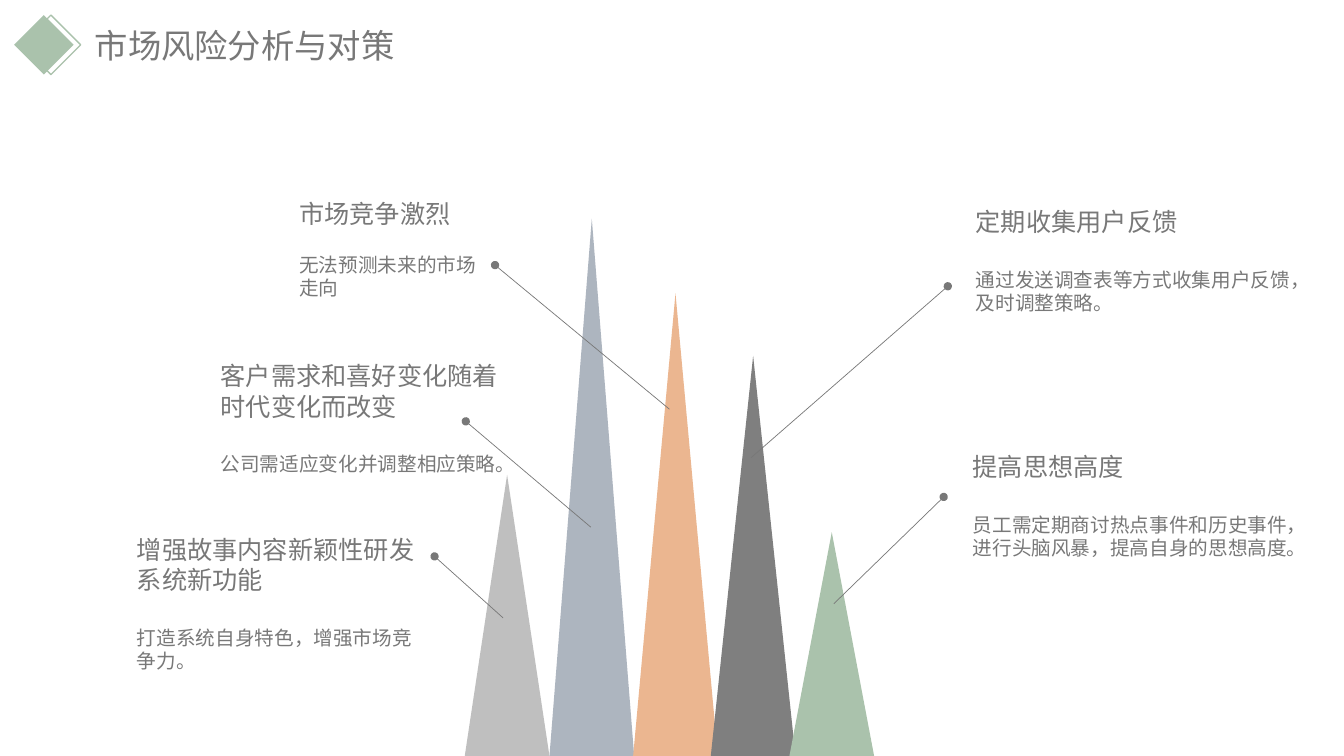
from pptx import Presentation
from pptx.dml.color import RGBColor
from pptx.enum.shapes import MSO_CONNECTOR as Link, MSO_SHAPE as Shape
from pptx.enum.text import MSO_ANCHOR as Anchor, PP_ALIGN as Align
from pptx.oxml.ns import qn
from pptx.util import Inches, Pt
from lxml.etree import SubElement

FONT = "Noto Sans CJK SC"
GREY = "787878"
GREEN = "AAC2AC"
FLOOR = 7.5
WIDTH = 0.84

# left, tip height, colour
PEAKS = [
    (4.61, 4.71, "BFBFBF"),
    (5.45, 2.17, "ADB5BF"),
    (6.28, 2.91, "EBB690"),
    (7.05, 3.53, "7F7F7F"),
    (7.83, 5.28, GREEN),
]

# start on a peak, end at the dot
LEADS = [
    (8.27, 5.99, 9.36, 4.93),
    (7.45, 4.54, 9.4, 2.84),
    (6.64, 4.06, 4.91, 2.63),
    (5.86, 5.23, 4.62, 4.18),
    (4.99, 6.13, 4.31, 5.52),
]

# left, top, width, height, gap before the body, heading, body
NOTES = [
    (2.87, 1.92, 2.07, 1.1, 17, "市场竞争激烈", "无法预测未来的市场走向"),
    (2.09, 3.53, 3.15, 1.25, 22, "客户需求和喜好变化随着时代变化而改变",
     "公司需适应变化并调整相应策略。"),
    (1.26, 5.25, 3.02, 1.68, 22, "增强故事内容新颖性研发系统新功能",
     "打造系统自身特色，增强市场竞争力。"),
    (9.58, 2.0, 3.6, 1.18, 22, "定期收集用户反馈",
     "通过发送调查表等方式收集用户反馈，及时调整策略。"),
    (9.55, 4.43, 3.34, 1.18, 22, "提高思想高度",
     "员工需定期商讨热点事件和历史事件，进行头脑风暴，提高自身的思想高度。"),
]


def color(code):
    return RGBColor.from_string(code)


def write(para, text, size=14, tint=GREY, gap=0):
    para.alignment = Align.LEFT
    para.line_spacing = Pt(round(size * 1.2, 1))
    para.space_before = Pt(gap)
    run = para.add_run()
    run.text = text
    font = run.font
    font.size = Pt(size)
    font.name = FONT
    font.color.rgb = color(tint)
    # East Asian typeface
    SubElement(font._element, qn("a:ea"), typeface=FONT)


def add_form(slide, kind, left, top, width, height, fill=None, line=None):
    form = slide.shapes.add_shape(
        kind, Inches(left), Inches(top), Inches(width), Inches(height))
    form.shadow.inherit = False
    if fill:
        form.fill.solid()
        form.fill.fore_color.rgb = color(fill)
    else:
        form.fill.background()
    if line:
        form.line.color.rgb = color(line)
        form.line.width = Pt(1)
    else:
        form.line.fill.background()


def add_lead(slide, *ends):
    lead = slide.shapes.add_connector(Link.STRAIGHT, *map(Inches, ends))
    lead.line.color.rgb = color(GREY)
    lead.line.width = Pt(0.5)
    SubElement(lead.line._get_or_add_ln(), qn("a:tailEnd"), type="oval")
    SubElement(lead._element.spPr, qn("a:effectLst"))


def add_note(slide, left, top, width, height, gap, head, body):
    box = slide.shapes.add_textbox(
        Inches(left), Inches(top), Inches(width), Inches(height))
    frame = box.text_frame
    frame.word_wrap = True
    write(frame.paragraphs[0], head, size=18)
    write(frame.add_paragraph(), body, gap=gap)


def set_title(slide, text):
    title = slide.shapes.title
    title.left, title.top = Inches(0.84), Inches(0.2)
    title.width, title.height = Inches(3.34), Inches(0.57)
    title.text_frame.vertical_anchor = Anchor.TOP
    write(title.text_frame.paragraphs[0], text, size=23.8)


def main():
    deck = Presentation()
    deck.slide_width, deck.slide_height = Inches(13.33), Inches(7.5)
    slide = deck.slides.add_slide(deck.slide_layouts[5])

    # Title with its diamonds
    set_title(slide, "市场风险分析与对策")
    add_form(slide, Shape.DIAMOND, 0.14, 0.15, 0.59, 0.59, fill=GREEN)
    add_form(slide, Shape.DIAMOND, 0.21, 0.15, 0.59, 0.59, line=GREEN)

    # Peaks standing on the lower edge
    for left, tip, tint in PEAKS:
        add_form(slide, Shape.ISOSCELES_TRIANGLE,
                 left, tip, WIDTH, FLOOR - tip, fill=tint)

    # Leader lines and notes
    for ends in LEADS:
        add_lead(slide, *ends)
    for note in NOTES:
        add_note(slide, *note)

    deck.save("out.pptx")


if __name__ == "__main__":
    main()
